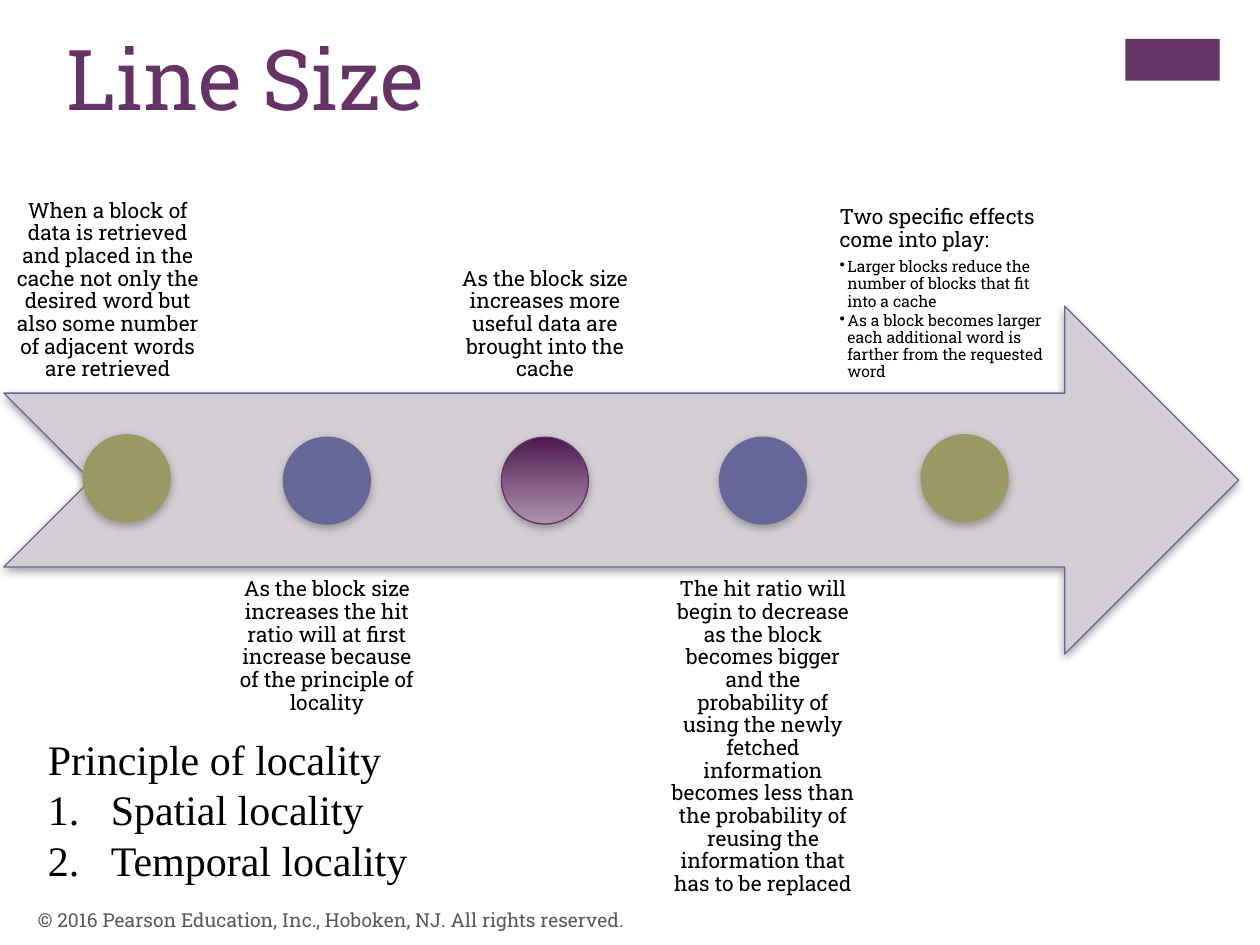
from lxml.etree import SubElement
from pptx import Presentation
from pptx.dml.color import RGBColor
from pptx.enum.shapes import MSO_SHAPE as Kind
from pptx.enum.text import MSO_ANCHOR as Anchor, PP_ALIGN as Align
from pptx.oxml.ns import qn
from pptx.util import Pt

PLUM = RGBColor(0x66, 0x33, 0x66)
DARK = RGBColor(0x4D, 0x1A, 0x4D)
PALE = RGBColor(0xAF, 0x94, 0xAF)
MIST = RGBColor(0xD3, 0xCE, 0xD3)
BLUE = RGBColor(0x66, 0x66, 0x99)
OLIVE = RGBColor(0x99, 0x99, 0x66)
GRAY = RGBColor(0x59, 0x59, 0x59)
BLACK = RGBColor(0, 0, 0)
SLAB = "Roboto Slab"
TIMES = "Times New Roman"

TALL = 198.7  # height of the arrow and of each label
DOT = 49.7

# dot centre, dot top, dot fill, label centre, label above the arrow?, text
STEPS = [
    (72.4, 248.4, OLIVE, 61.6, True,
     "When a block of data is retrieved and placed in the cache not only the "
     "desired word but also some number of adjacent words are retrieved"),
    (186.8, 249.8, BLUE, 186.8, False,
     "As the block size increases the hit ratio will at first increase "
     "because of the principle of locality"),
    (311.4, 249.8, PLUM, 311.4, True,
     "As the block size increases more useful data are brought into the cache"),
    (436, 249.8, BLUE, 436, False,
     "The hit ratio will begin to decrease as the block becomes bigger and "
     "the probability of using the newly fetched information becomes less "
     "than the probability of reusing the information that has to be replaced"),
    (551.2, 248.4, OLIVE, 541.1, True, "Two specific effects come into play:"),
]
EFFECTS = [
    "Larger blocks reduce the number of blocks that fit into a cache",
    "As a block becomes larger each additional word is farther from the "
    "requested word",
]


def add_run(para, text, size, face, color):
    run = para.add_run()
    run.text = text
    font = run.font
    font.size, font.name = Pt(size), face
    font.color.rgb = color


def add_mark(para, indent, tag, **attrs):
    """Give a paragraph a hanging indent and a bullet or number."""
    props = para._p.get_or_add_pPr()
    props.set("marL", str(Pt(indent)))
    props.set("indent", str(-Pt(indent)))
    SubElement(props, qn(tag), **attrs)


def add_shape(slide, kind, box, fill, line=None):
    shape = slide.shapes.add_shape(kind, *map(Pt, box))
    shape.shadow.inherit = False
    shape.fill.solid()
    shape.fill.fore_color.rgb = fill
    if line is None:
        shape.line.fill.background()
    else:
        shape.line.color.rgb = line
        shape.line.width = Pt(0.75)
    return shape


def add_shadow(shape):
    effects = shape._element.spPr.find(qn("a:effectLst"))
    outer = SubElement(effects, qn("a:outerShdw"), blurRad=str(Pt(5)),
                       dist=str(Pt(2)), dir="5400000", rotWithShape="0")
    color = SubElement(outer, qn("a:srgbClr"), val="808080")
    SubElement(color, qn("a:alpha"), val="75000")


def add_box(slide, box, anchor=Anchor.TOP, wrap=True):
    frame = slide.shapes.add_textbox(*map(Pt, box)).text_frame
    frame.word_wrap = wrap
    frame.vertical_anchor = anchor
    return frame


def add_dot(slide, mid, top, color):
    dot = add_shape(slide, Kind.OVAL, (mid - DOT / 2, top, DOT, DOT),
                    color, color)
    if color == PLUM:
        dot.fill.gradient()
        dot.fill.gradient_angle = 270
        for stop, shade, place in zip(dot.fill.gradient_stops,
                                      (DARK, PALE), (0, 1)):
            stop.color.rgb = shade
            stop.position = place
    add_shadow(dot)


def add_label(slide, mid, above, text, width=118.8):
    top = 25.9 if above else 324
    frame = add_box(slide, (mid - width / 2, top, width, TALL),
                    Anchor.BOTTOM if above else Anchor.TOP)
    frame.margin_left = frame.margin_right = Pt(6.7)
    frame.margin_top = frame.margin_bottom = Pt(6.7)
    para = frame.paragraphs[0]
    para.alignment = Align.CENTER
    para.line_spacing = 0.9
    add_run(para, text, 12, SLAB, BLACK)
    return frame


def add_effects(slide, mid, above, text):
    frame = add_label(slide, mid, above, text, 136.1)
    head = frame.paragraphs[0]
    head.alignment = Align.LEFT
    head.space_after = Pt(4.2)
    for item in EFFECTS:
        para = frame.add_paragraph()
        para.level = 1
        para.line_spacing = 0.9
        para.space_after = Pt(1.5)
        add_mark(para, 4.5, "a:buChar", char="•")
        add_run(para, item, 9, SLAB, BLACK)


def add_notes(slide):
    frame = add_box(slide, (20.2, 415.5, 221.8, 123.8), wrap=False)
    lines = ["Principle of locality", "Spatial locality", "Temporal locality"]
    for row, text in enumerate(lines):
        para = frame.add_paragraph() if row else frame.paragraphs[0]
        para.line_spacing = Pt(28.8)
        if row:
            add_mark(para, 36, "a:buAutoNum", type="arabicPeriod")
        add_run(para, text, 24, TIMES, BLACK)


def add_title(slide, text):
    title = slide.shapes.title
    title.left, title.top = Pt(31), Pt(15.1)
    title.width, title.height = Pt(594.7), Pt(87.8)
    frame = title.text_frame
    frame.vertical_anchor = Anchor.TOP
    frame.margin_top = 0
    para = frame.paragraphs[0]
    para.alignment = Align.LEFT
    add_run(para, text, 48, SLAB, PLUM)


def main():
    deck = Presentation()
    deck.slide_width, deck.slide_height = Pt(720), Pt(540)
    slide = deck.slides.add_slide(deck.slide_layouts[5])
    add_shape(slide, Kind.RECTANGLE, (643, 22.3, 54, 23.8), PLUM)
    add_title(slide, "Line Size")
    arrow = add_shape(slide, Kind.NOTCHED_RIGHT_ARROW,
                      (2.2, 175, 705.6, TALL), MIST, BLUE)
    add_shadow(arrow)
    for mid, top, color, center, above, text in STEPS:
        place = add_effects if mid == STEPS[-1][0] else add_label
        place(slide, center, above, text)
        add_dot(slide, mid, top, color)
    foot = add_box(slide, (14.4, 511.2, 482.4, 28.8), Anchor.MIDDLE)
    add_run(foot.paragraphs[0],
            "© 2016 Pearson Education, Inc., Hoboken, NJ. "
            "All rights reserved.", 11, SLAB, GRAY)
    add_notes(slide)
    deck.save("out.pptx")


if __name__ == "__main__":
    main()
